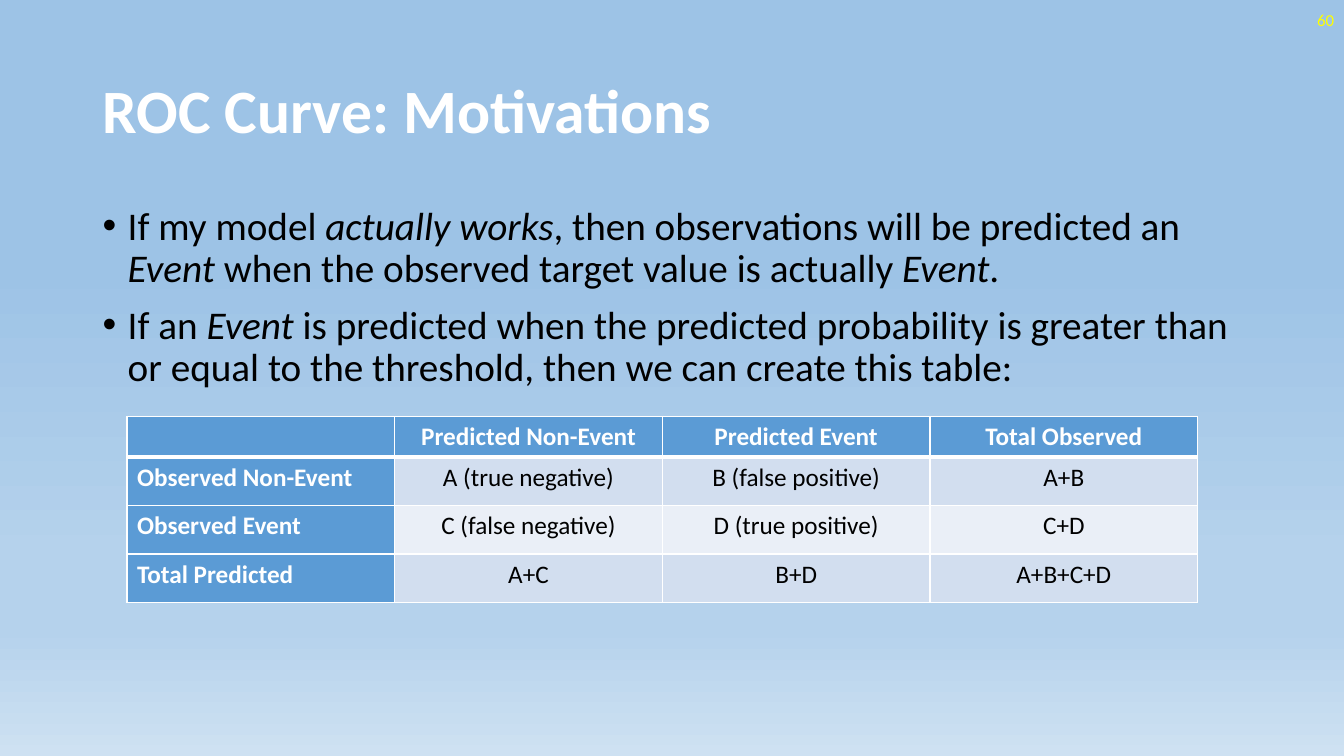
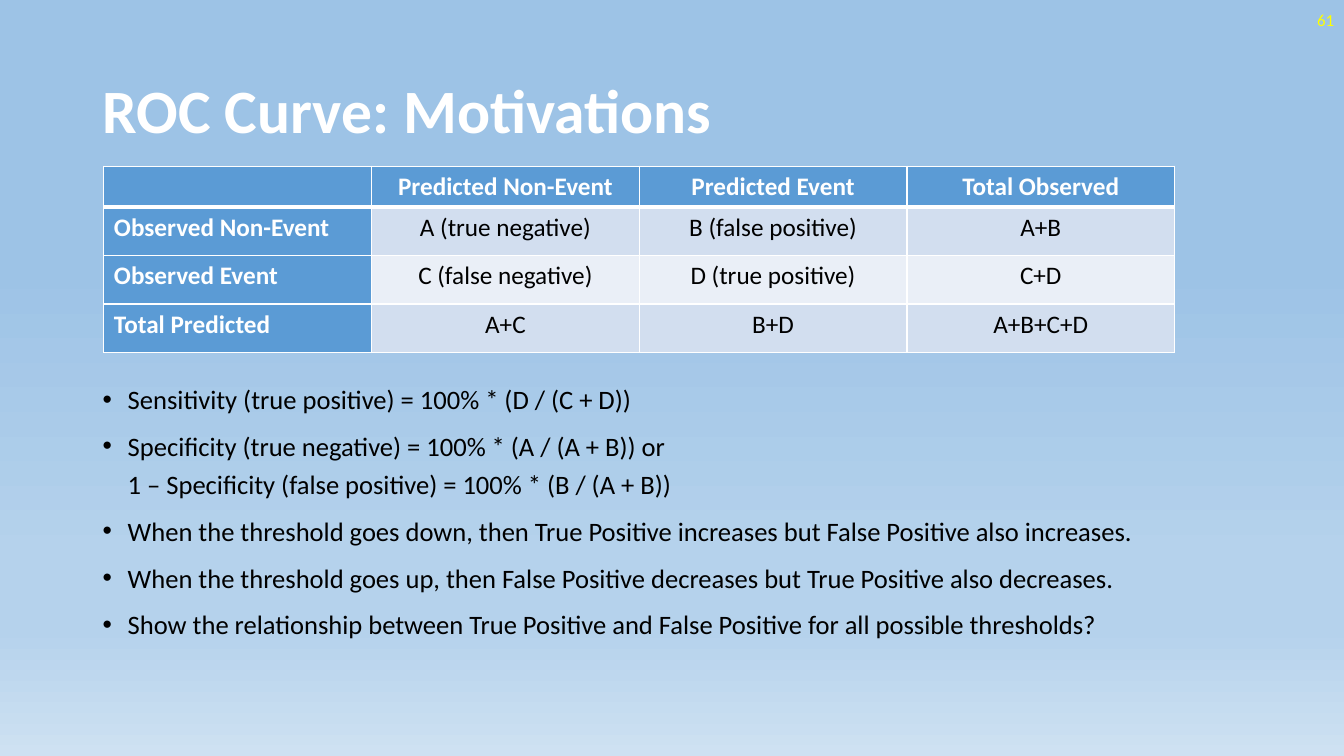
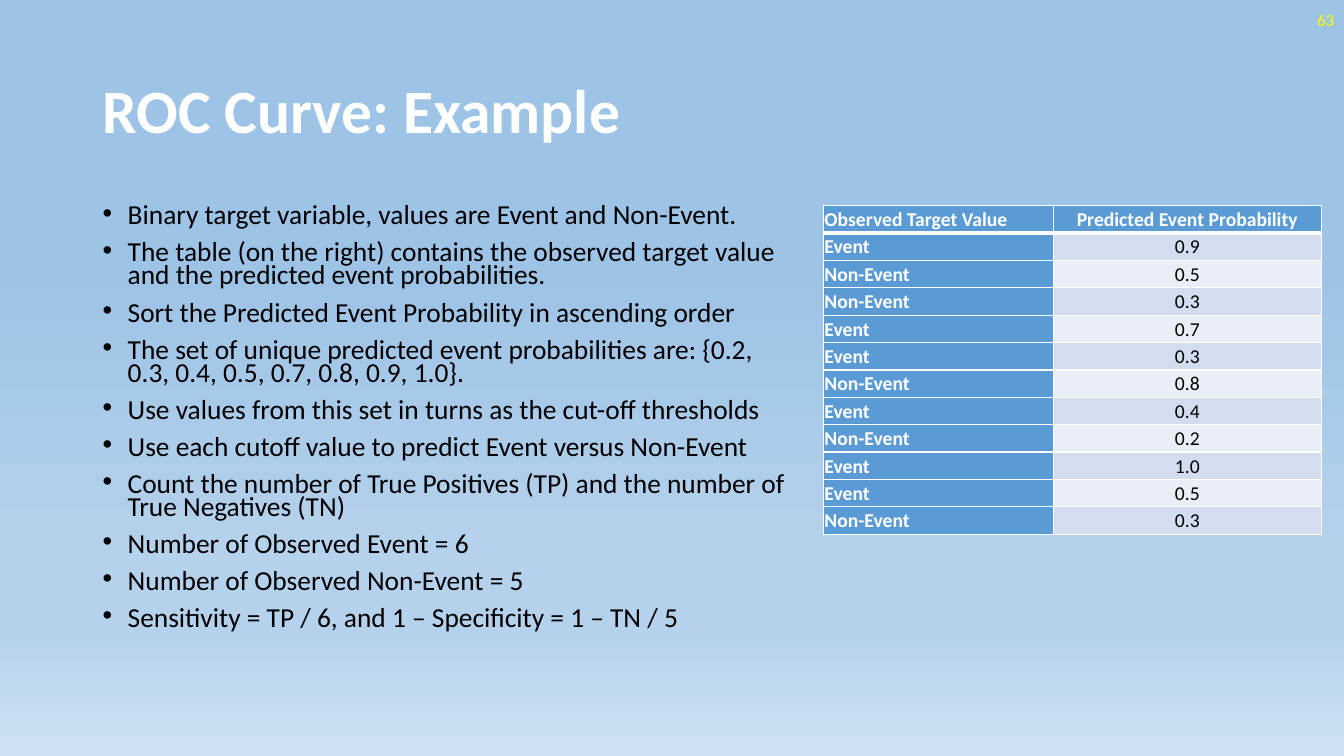
"""Build three slides that introduce the ROC curve."""
from lxml.etree import SubElement
from pptx import Presentation
from pptx.dml.color import RGBColor
from pptx.enum.text import MSO_ANCHOR, PP_ALIGN
from pptx.oxml import parse_xml
from pptx.oxml.ns import nsdecls, qn
from pptx.util import Pt

COLORS = {"white": "FFFFFF", "black": "000000", "yellow": "FFFF00", "header": "5B9BD5",
          "band_dark": "D2DEEF", "band_light": "EAEFF7"}
BACKGROUND_STOPS = [(35, "9DC3E6"), (74, "B5D2EC"), (83, "B5D2EC"), (100, "CEE1F2")]
TITLE_BOX = (66.2, 28.8, 828, 104.4)
NUMBER_BOX = (744, 0, 216, 28.8)
TITLE = {"size": 44, "color": "white", "bold": True, "line_spacing": 0.9}
NUMBER = {"size": 12, "color": "yellow", "alignment": PP_ALIGN.RIGHT}

CONFUSION_ROWS = [
    ("", "Predicted Non-Event", "Predicted Event", "Total Observed"),
    ("Observed Non-Event", "A (true negative)", "B (false positive)", "A+B"),
    ("Observed Event", "C (false negative)", "D (true positive)", "C+D"),
    ("Total Predicted", "A+C", "B+D", "A+B+C+D"),
]
CONFUSION = {"rows": CONFUSION_ROWS, "widths": [191.2] * 4, "heights": [29.2] + [34.6] * 3,
             "size": 18}
OBSERVATIONS = [
    ("Event", "0.9"), ("Non-Event", "0.5"), ("Non-Event", "0.3"), ("Event", "0.7"),
    ("Event", "0.3"), ("Non-Event", "0.8"), ("Event", "0.4"), ("Non-Event", "0.2"),
    ("Event", "1.0"), ("Event", "0.5"), ("Non-Event", "0.3"),
]
PROBABILITIES = {"rows": [("Observed Target Value", "Predicted Event Probability")] + OBSERVATIONS,
                 "widths": [164.2, 191.5], "heights": [19.56] * 12, "size": 14,
                 "margins": {"margin_left": 0.72, "margin_top": 0.72,
                             "margin_right": 0.72, "margin_bottom": 0}}

SLIDES = [
    {"number": "60", "title": "ROC Curve: Motivations",
     "body_box": (66.2, 144, 828, 342.7),
     "body_format": {"size": 28, "line_spacing": 0.9, "space_before": Pt(10)},
     "body": [
         "If my model _actually works_, then observations will be predicted an _Event_ "
         "when the observed target value is actually _Event_.",
         "If an _Event_ is predicted when the predicted probability is greater than "
         "or equal to the threshold, then we can create this table:"],
     "table": CONFUSION, "table_at": (90.7, 297.4)},
    {"number": "61", "title": "ROC Curve: Motivations",
     "body_box": (66.2, 265.7, 772.6, 221),
     "body_format": {"size": 19, "line_spacing": 1.2, "space_before": Pt(6)},
     "body": [
         "Sensitivity (true positive) = 100% * (D / (C + D))",
         "Specificity (true negative) = 100% * (A / (A + B)) or\n"
         "1 – Specificity (false positive) = 100% * (B / (A + B))",
         "When the threshold goes down, then True Positive increases but False Positive "
         "also increases.",
         "When the threshold goes up, then False Positive decreases but True Positive "
         "also decreases.",
         "Show the relationship between True Positive and False Positive for all "
         "possible thresholds?"],
     "table": CONFUSION, "table_at": (74.2, 118.8)},
    {"number": "63", "title": "ROC Curve: Example",
     "body_box": (66.2, 144, 509, 342.7),
     "body_format": {"size": 19.6, "line_spacing": 0.7, "space_before": Pt(10)},
     "body": [
         "Binary target variable, values are Event and Non-Event.",
         "The table (on the right) contains the observed target value and the predicted "
         "event probabilities.",
         "Sort the Predicted Event Probability in ascending order",
         "The set of unique predicted event probabilities are: "
         "{0.2, 0.3, 0.4, 0.5, 0.7, 0.8, 0.9, 1.0}.",
         "Use values from this set in turns as the cut-off thresholds",
         "Use each cutoff value to predict Event versus Non-Event",
         "Count the number of True Positives (TP) and the number of True Negatives (TN)",
         "Number of Observed Event = 6",
         "Number of Observed Non-Event = 5",
         "Sensitivity = TP / 6, and 1 – Specificity = 1 – TN / 5"],
     "table": PROBABILITIES, "table_at": (588.2, 146.9)},
]


def color(name):
    return RGBColor.from_string(COLORS[name])


def set_background(master):
    fill = master.background.fill
    fill.gradient()
    fill.gradient_angle = 270
    stops = master.element.find(".//" + qn("a:gsLst"))
    for stop in list(stops):
        stops.remove(stop)
    for position, value in BACKGROUND_STOPS:
        stop = SubElement(stops, qn("a:gs"), pos=str(position * 1000))
        SubElement(stop, qn("a:srgbClr"), val=value)


def write_paragraph(paragraph, text, style):
    """Write text in which underscores enclose italics."""
    for name in ("line_spacing", "space_before", "alignment"):
        if name in style:
            setattr(paragraph, name, style[name])
    for line_index, line in enumerate(text.split("\n")):
        if line_index:
            paragraph.add_line_break()
        for part_index, part in enumerate(line.split("_")):
            if not part:
                continue
            run = paragraph.add_run()
            run.text = part
            values = {"name": "Calibri", "size": Pt(style["size"]),
                      "bold": style.get("bold", False), "italic": part_index % 2 == 1}
            for name, value in values.items():
                setattr(run.font, name, value)
            run.font.color.rgb = color(style.get("color", "black"))


def add_text(slide, box, texts, style, anchor=MSO_ANCHOR.MIDDLE, bullets=False):
    frame = slide.shapes.add_textbox(*map(Pt, box)).text_frame
    frame.word_wrap = True
    frame.vertical_anchor = anchor
    for index, text in enumerate(texts):
        paragraph = frame.add_paragraph() if index else frame.paragraphs[0]
        write_paragraph(paragraph, text, style)
        if bullets:
            properties = paragraph._p.get_or_add_pPr()
            properties.set("marL", str(Pt(18)))
            properties.set("indent", str(-Pt(18)))
            SubElement(properties, qn("a:buFont"), typeface="Arial")
            SubElement(properties, qn("a:buChar"), char="•")


def set_borders(cell, row_index):
    widths = {"L": 1, "R": 1, "T": 3 if row_index == 1 else 1, "B": 3 if row_index == 0 else 1}
    properties = cell._tc.get_or_add_tcPr()
    for index, (side, width) in enumerate(widths.items()):
        properties.insert(index, parse_xml(
            f'<a:ln{side} {nsdecls("a")} w="{Pt(width)}"><a:solidFill>'
            f'<a:srgbClr val="{COLORS["white"]}"/></a:solidFill></a:ln{side}>'))


def add_table(slide, position, content):
    rows, widths, heights = content["rows"], content["widths"], content["heights"]
    size = (sum(widths), sum(heights))
    table = slide.shapes.add_table(len(rows), len(widths), *map(Pt, position + size)).table
    for column, width in zip(table.columns, widths):
        column.width = Pt(width)
    for row_index, (row, texts) in enumerate(zip(table.rows, rows)):
        row.height = Pt(heights[row_index])
        for column_index, (cell, text) in enumerate(zip(row.cells, texts)):
            heading = row_index == 0 or column_index == 0
            band = "band_dark" if row_index % 2 else "band_light"
            cell.fill.solid()
            cell.fill.fore_color.rgb = color("header" if heading else band)
            set_borders(cell, row_index)
            if "margins" in content:
                cell.vertical_anchor = MSO_ANCHOR.MIDDLE
                for name, margin in content["margins"].items():
                    setattr(cell, name, Pt(margin))
            style = {"size": content["size"], "bold": heading,
                     "color": "white" if heading else "black",
                     "alignment": PP_ALIGN.CENTER if column_index else PP_ALIGN.LEFT}
            write_paragraph(cell.text_frame.paragraphs[0], text, style)


def main():
    presentation = Presentation()
    presentation.slide_width, presentation.slide_height = Pt(960), Pt(540)
    set_background(presentation.slide_master)
    for content in SLIDES:
        slide = presentation.slides.add_slide(presentation.slide_layouts[6])
        add_text(slide, TITLE_BOX, [content["title"]], TITLE)
        add_text(slide, content["body_box"], content["body"], content["body_format"],
                 MSO_ANCHOR.TOP, bullets=True)
        add_text(slide, NUMBER_BOX, [content["number"]], NUMBER)
        add_table(slide, content["table_at"], content["table"])
    presentation.save("out.pptx")


if __name__ == "__main__":
    main()
